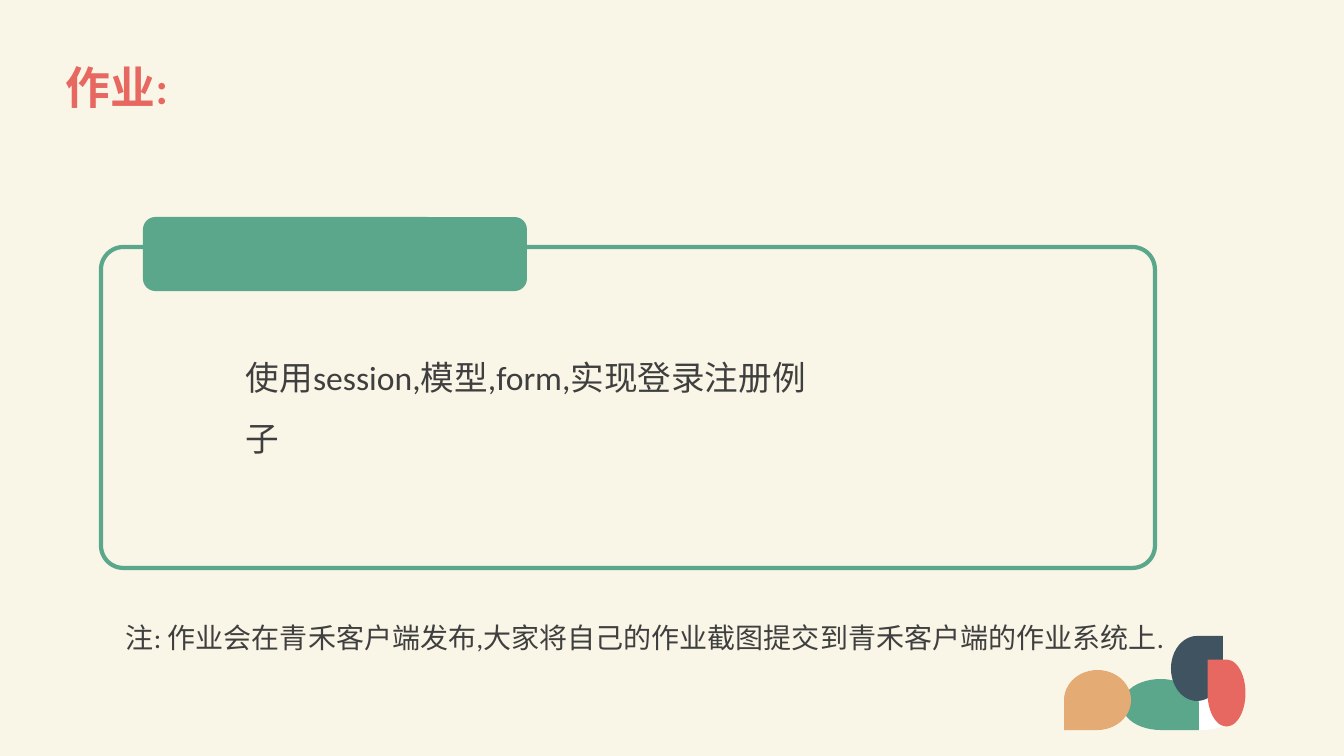
from pptx import Presentation
from pptx.dml.color import RGBColor
from pptx.enum.shapes import MSO_SHAPE as SHAPE
from pptx.enum.text import MSO_ANCHOR as ANCHOR
from pptx.util import Pt

PX = 9071
CREAM = RGBColor(0xF9, 0xF6, 0xE7)
CORAL = RGBColor(0xE7, 0x68, 0x61)
GREEN = RGBColor(0x5B, 0xA7, 0x8C)
NAVY = RGBColor(0x3F, 0x53, 0x61)
SAND = RGBColor(0xE5, 0xAB, 0x74)
WHITE = RGBColor(0xFF, 0xFF, 0xFF)
INK = RGBColor(0x3F, 0x3F, 0x3F)

prs = Presentation()
prs.slide_width, prs.slide_height = 1344 * PX, 756 * PX
s = prs.slides.add_slide(prs.slide_layouts[6])
s.background.fill.solid()
s.background.fill.fore_color.rgb = CREAM


def add_shape(kind, x, y, w, h, fill=None):
    sp = s.shapes.add_shape(kind, x * PX, y * PX, w * PX, h * PX)
    sp.shadow.inherit = False
    sp.line.fill.background()
    if fill is None:
        sp.fill.background()
    else:
        sp.fill.solid()
        sp.fill.fore_color.rgb = fill
    return sp


def add_text(text, x, y, w, h, size, color, spacing, anchor=ANCHOR.TOP, bold=False):
    tf = s.shapes.add_textbox(x * PX, y * PX, w * PX, h * PX).text_frame
    tf.word_wrap = True
    tf.vertical_anchor = anchor
    p = tf.paragraphs[0]
    p.text = text
    p.line_spacing = spacing
    font = p.runs[0].font
    font.name, font.size, font.bold = "Calibri", Pt(size), bold
    font.color.rgb = color


add_text("作业:", 56, 37, 1239, 107, 32, CORAL, 0.9, ANCHOR.MIDDLE, True)

add_shape(SHAPE.OVAL, 1173, 700, 60, 30, WHITE)
petals = [
    (1122, 679, 77, 51, 90, GREEN),
    (1171, 636, 52, 65, 0, NAVY),
    (1208, 660, 38, 67, 270, CORAL),
    (1064, 670, 67, 60, 180, SAND),
]
for x, y, w, h, angle, color in petals:
    if angle % 180:
        x, y, w, h = x + (w - h) / 2, y + (h - w) / 2, h, w
    sp = add_shape(SHAPE.TEAR, int(x), int(y), w, h, color)
    sp.rotation = angle

frame = add_shape(SHAPE.ROUNDED_RECTANGLE, 101, 247, 1054, 321)
frame.adjustments[0] = 0.07
frame.line.color.rgb = GREEN
frame.line.width = Pt(3)
add_shape(SHAPE.ROUNDED_RECTANGLE, 143, 217, 384, 74, GREEN)

add_text("使用session,模型,form,实现登录注册例子", 236, 332, 600, 132, 24, INK, 1.5)
add_text("注: 作业会在青禾客户端发布,大家将自己的作业截图提交到青禾客户端的作业系统上.",
         116, 616, 1055, 78, 20, INK, 1.0)

prs.save("out.pptx")
